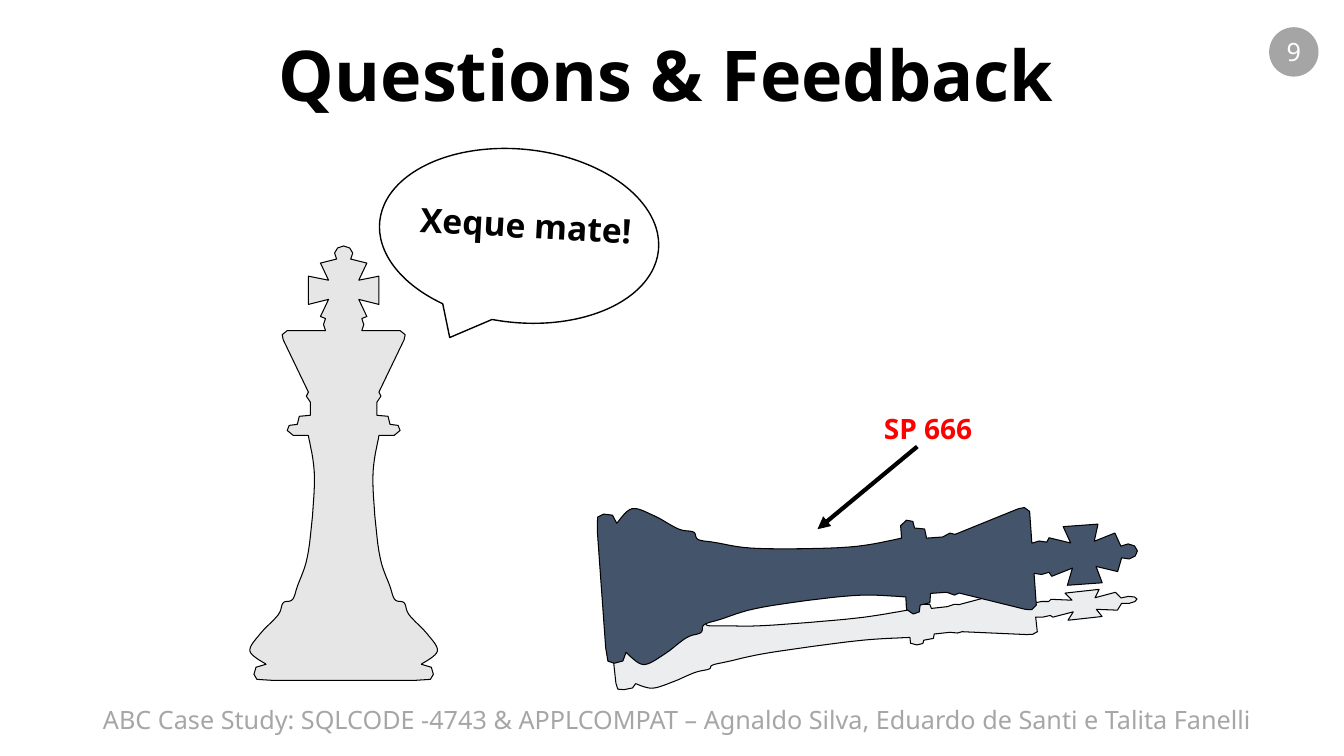
from dataclasses import dataclass

from lxml import etree
from pptx import Presentation
from pptx.dml.color import RGBColor
from pptx.enum.shapes import MSO_CONNECTOR, MSO_SHAPE
from pptx.enum.text import MSO_ANCHOR, MSO_AUTO_SIZE, PP_ALIGN
from pptx.oxml.ns import qn
from pptx.util import Inches, Pt

LEFT, CENTER, JUSTIFY = PP_ALIGN.LEFT, PP_ALIGN.CENTER, PP_ALIGN.JUSTIFY
MIDDLE, GROW = MSO_ANCHOR.MIDDLE, MSO_AUTO_SIZE.SHAPE_TO_FIT_TEXT
OVAL, BUBBLE = MSO_SHAPE.OVAL, MSO_SHAPE.OVAL_CALLOUT
STRAIGHT = MSO_CONNECTOR.STRAIGHT
COLS, ROWS = 133.33, 75  # grid of cells, a tenth of an inch each


@dataclass(frozen=True)
class Theme:
    """Colours, fonts and type sizes of the slide."""
    ink: str = "000000"
    white: str = "FFFFFF"
    badge: str = "A5A5A5"
    muted: str = "A6A6A6"
    alert: str = "FF0000"
    light_king: str = "E7E6E6"
    dark_king: str = "44546A"
    main_font: str = "Noto Sans"
    label_font: str = "Open Sans"
    title: int = 50
    speech: int = 24
    label: int = 20
    small: int = 18


T = Theme()

# Half a king as (distance from the axis, depth below the top)
KING_HALF, KING_HEIGHT = 93, 431
CROWN = [(0, 0), (6, 2), (9, 7), (7, 13), (23, 17), (15, 34), (35, 30),
         (35, 58), (15, 53), (23, 70), (18, 72), (20, 78), (18, 84),
         (56, 84), (61, 88), (60, 93), (35, 145), (37, 149), (33, 155),
         (33, 168), (44, 169), (46, 177), (54, 178), (56, 183), (50, 188)]
BODY = [(35, 188), (29, 231), (35, 303), (46, 338), (51, 351), (60, 354),
        (65, 366), (83, 385), (93, 402), (77, 415)]
FOOT = [(87, 418), (89, 425), (86, 430), (70, 431)]


def cells(*counts):
    """Turn numbers of grid cells into lengths."""
    return [Inches(n / 10) for n in counts]


def rgb(colour):
    """Give a theme colour as an RGBColor."""
    return RGBColor.from_string(colour)


def style(sp, fill=None, line=None, width=1):
    """Set fill and line of a shape and remove its shadow."""
    sp.shadow.inherit = False
    if fill:
        sp.fill.solid()
        sp.fill.fore_color.rgb = rgb(fill)
    else:
        sp.fill.background()
    if line:
        sp.line.color.rgb = rgb(line)
        sp.line.width = Pt(width)
    else:
        sp.line.fill.background()


def write(tf, text, size, colour, font=T.main_font, bold=False, align=CENTER):
    """Put one formatted paragraph into a text frame."""
    tf.text = text
    p = tf.paragraphs[0]
    p.alignment = align
    f = p.runs[0].font
    f.name, f.size, f.bold = font, Pt(size), bold
    f.color.rgb = rgb(colour)


def add_text(s, box, text, size, colour, rotation=0, **look):
    """Add a wrapping text box that fits its text."""
    tb = s.shapes.add_textbox(*cells(*box))
    tb.rotation = rotation
    tb.text_frame.word_wrap = True
    tb.text_frame.auto_size = GROW
    write(tb.text_frame, text, size, colour, **look)


def add_badge(s, box, number):
    """Add the round page number."""
    sp = s.shapes.add_shape(OVAL, *cells(*box))
    style(sp, T.badge)
    tf = sp.text_frame
    tf.word_wrap = False
    tf.vertical_anchor = MIDDLE
    write(tf, number, T.small, T.white)


def smooth(points, steps=8):
    """Run a Catmull-Rom curve through the points."""
    padded = [points[0], *points, points[-1]]
    curve = []
    for a, b, c, d in zip(padded, padded[1:], padded[2:], padded[3:]):
        for t in (i / steps for i in range(steps)):
            curve.append(tuple(
                q + t * (r - o) / 2 + t * t * (2 * o - 5 * q + 4 * r - u) / 2
                + t ** 3 * (3 * q - o - 3 * r + u) / 2
                for o, q, r, u in zip(a, b, c, d)))
    return curve + [points[-1]]


def king_outline(fine):
    """Mirror the half profile into a whole outline, in fine units."""
    half = CROWN + smooth(BODY) + FOOT
    left = [(KING_HALF - x, y) for x, y in half]
    right = [(KING_HALF + x, y) for x, y in reversed(half[1:])]
    return [(x * fine, y * fine) for x, y in left + right]


def add_king(s, box, fill, rotation=0, opacity=100):
    """Add a chess king stretched to a box, then turned."""
    left, top, width, height = cells(*box)
    fine = 10
    scale = (width / (2 * KING_HALF * fine), height / (KING_HEIGHT * fine))
    outline = king_outline(fine)
    fb = s.shapes.build_freeform(*outline[0], scale=scale)
    fb.add_line_segments(outline[1:])
    sp = fb.convert_to_shape(left, top)
    style(sp, fill, T.ink, 0.75)
    sp.rotation = rotation
    if opacity < 100:
        clr = sp._element.spPr.find(qn("a:solidFill"))[0]
        etree.SubElement(clr, qn("a:alpha"), val=str(opacity * 1000))


def add_arrow(s, start, end):
    """Add a thick arrow between two grid points."""
    cx = s.shapes.add_connector(STRAIGHT, *cells(*start, *end))
    cx.line.color.rgb = rgb(T.ink)
    cx.line.width = Pt(3)
    spPr = cx._element.spPr
    etree.SubElement(spPr.find(qn("a:ln")), qn("a:tailEnd"), type="triangle")
    etree.SubElement(spPr, qn("a:effectLst"))


def add_bubble(s, box, rotation):
    """Add the outlined speech bubble."""
    sp = s.shapes.add_shape(BUBBLE, *cells(*box))
    style(sp, line=T.ink)
    sp.rotation = rotation


def main():
    """Build and save the slide."""
    prs = Presentation()
    prs.slide_width, prs.slide_height = cells(COLS, ROWS)
    s = prs.slides.add_slide(prs.slide_layouts[6])
    add_badge(s, (125.9, 2.7, 4.9, 4.9), "9")
    add_text(s, (13.2, 2.6, 105.8, 9.4), "Questions & Feedback", T.title, T.ink, bold=True)
    add_text(s, (5, 69.4, 124.3, 4), "ABC Case Study: SQLCODE -4743 & APPLCOMPAT – "
             "Agnaldo Silva, Eduardo de Santi e Talita Fanelli", T.small, T.muted)
    add_king(s, (83.2, 36.1, 7.2, 52.3), T.dark_king, 83.8, opacity=10)
    add_king(s, (78.5, 29.9, 15.5, 53.3), T.dark_king, 85.9)
    add_text(s, (86.7, 40.3, 39.3, 4.4), "SP 666", T.label, T.alert,
             font=T.label_font, bold=True, align=JUSTIFY)
    add_arrow(s, (91, 44.3), (81.1, 52.5))
    add_king(s, (24.8, 24.4, 18.6, 43.1), T.light_king)
    add_bubble(s, (37.6, 14.8, 27.8, 17.2), 6)
    add_text(s, (40.7, 20, 29.3, 5), "Xeque mate!", T.speech, T.ink, rotation=3.2,
             font=T.label_font, bold=True, align=LEFT)
    prs.save("out.pptx")


main()
